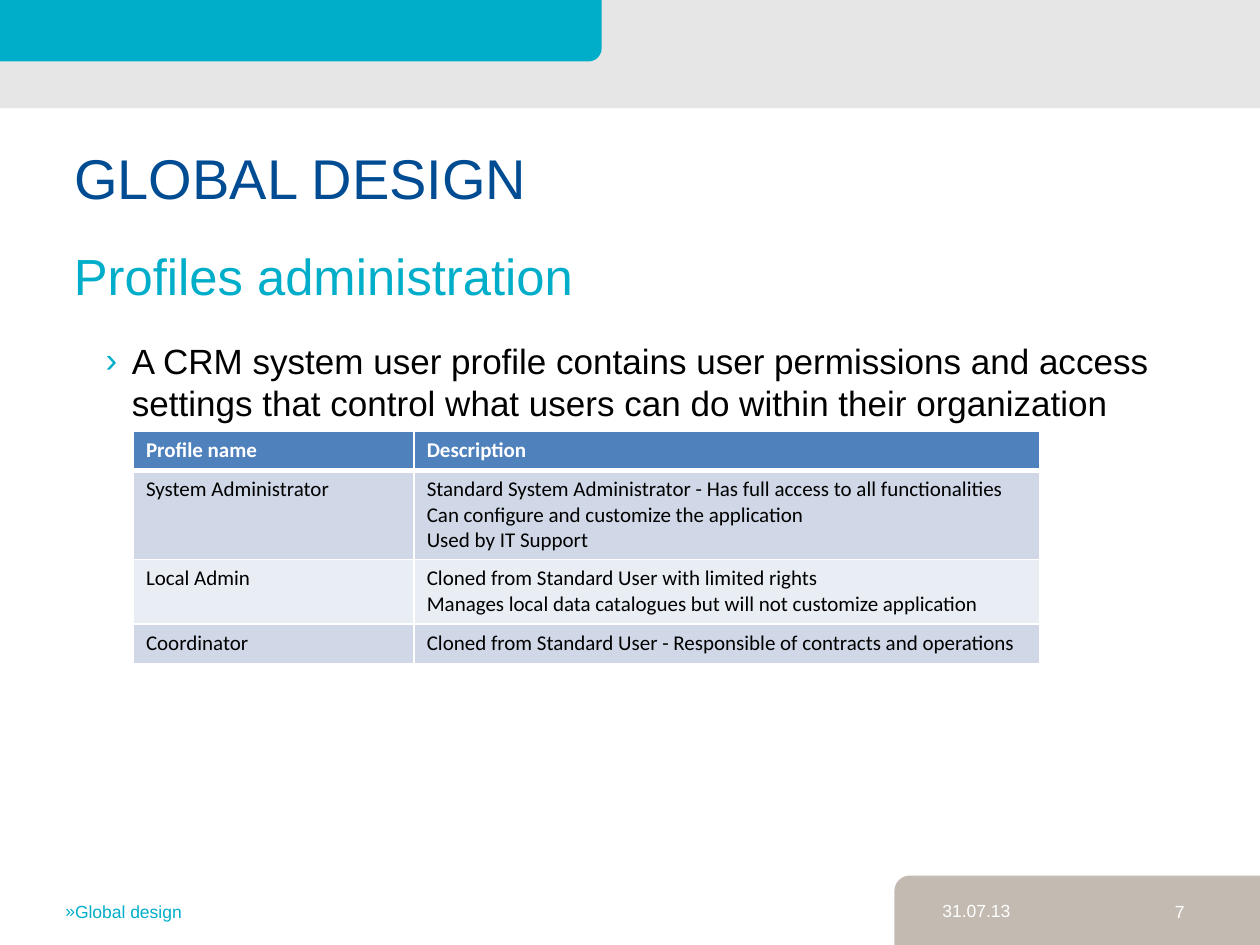
"""Build the profiles administration slide."""
from dataclasses import dataclass

from lxml import etree
from pptx import Presentation
from pptx.dml.color import RGBColor
from pptx.enum.shapes import MSO_SHAPE
from pptx.enum.text import MSO_ANCHOR, MSO_AUTO_SIZE, PP_ALIGN
from pptx.oxml.ns import qn
from pptx.util import Cm, Pt

CYAN = RGBColor(0x00, 0xAE, 0xCA)
NAVY = RGBColor(0x00, 0x4C, 0x93)
SAND = RGBColor(0xC3, 0xBB, 0xB2)
PALE_GREY = RGBColor(0xE6, 0xE6, 0xE6)
WHITE = RGBColor(0xFF, 0xFF, 0xFF)
BLACK = RGBColor(0x00, 0x00, 0x00)
HEADER_BLUE = RGBColor(0x4F, 0x81, 0xBD)
BAND_DARK = RGBColor(0xD0, 0xD8, 0xE8)
BAND_LIGHT = RGBColor(0xE9, 0xED, 0xF4)

Box = tuple[float, float, float, float]


@dataclass(frozen=True)
class Panel:
    kind: MSO_SHAPE
    box: Box
    color: RGBColor


@dataclass(frozen=True)
class Label:
    text: str
    box: Box
    size: int
    color: RGBColor
    align: PP_ALIGN = PP_ALIGN.LEFT
    bullet: str = ""
    margin: float = 0
    indent: float = 0
    space_before: int = 0


@dataclass(frozen=True)
class Row:
    height: float
    name: str
    description: tuple[str, ...]
    fill: RGBColor


PANELS = (
    Panel(MSO_SHAPE.ROUNDED_RECTANGLE, (18.03, 17.65, 8.05, 1.88), SAND),
    Panel(MSO_SHAPE.RECTANGLE, (0, 0, 25.4, 2.18), PALE_GREY),
    Panel(MSO_SHAPE.ROUNDED_RECTANGLE, (-0.79, -0.36, 12.92, 1.6), CYAN),
)
TITLE = Label("GLOBAL DESIGN", (1.24, 2.77, 22.86, 2.11), 32, NAVY)
LABELS = (
    Label("A CRM system user profile contains user permissions and access "
          "settings that control what users can do within their organization",
          (1.27, 6.71, 22.86, 10.08), 20, BLACK, bullet="›",
          margin=1.14, indent=-0.53, space_before=10),
    Label("Profiles administration", (1.24, 4.8, 22.89, 1.9), 29, CYAN, space_before=6),
    Label("Global design", (1.07, 18.03, 5.97, 1.02), 10, CYAN, bullet="»", indent=-0.46),
    Label("31.07.13", (18.75, 18.01, 4.27, 1.02), 10, WHITE),
    Label("7", (22.63, 18.03, 1.5, 1.02), 10, WHITE, PP_ALIGN.RIGHT),
)
COLUMNS = (5.66, 12.6)
ROWS = (
    Row(0.79, "Profile name", ("Description",), HEADER_BLUE),
    Row(1.8, "System Administrator",
        ("Standard System Administrator - Has full access to all functionalities",
         "Can configure and customize the application",
         "Used by IT Support"), BAND_DARK),
    Row(1.3, "Local Admin",
        ("Cloned from Standard User with limited rights",
         "Manages local data catalogues but will not customize application"), BAND_LIGHT),
    Row(0.79, "Coordinator",
        ("Cloned from Standard User - Responsible of contracts and operations",), BAND_DARK),
)


def add_panel(slide, panel: Panel) -> None:
    """Draw one plain filled panel."""
    shape = slide.shapes.add_shape(panel.kind, *map(Cm, panel.box))
    shape.shadow.inherit = False
    shape.fill.solid()
    shape.fill.fore_color.rgb = panel.color
    shape.line.fill.background()


def style_font(font, name: str, size: int, color: RGBColor, bold: bool = False) -> None:
    """Set the typeface, size, colour and weight."""
    font.name, font.size, font.bold = name, Pt(size), bold
    font.color.rgb = color


def write_label(shape, label: Label) -> None:
    """Place a text shape and fill it with one formatted paragraph."""
    shape.left, shape.top, shape.width, shape.height = map(Cm, label.box)
    frame = shape.text_frame
    frame.word_wrap = True
    frame.auto_size = MSO_AUTO_SIZE.NONE
    frame.vertical_anchor = MSO_ANCHOR.TOP
    paragraph = frame.paragraphs[0]
    paragraph.alignment = label.align
    paragraph.space_before = Pt(label.space_before)
    run = paragraph.add_run()
    run.text = label.text
    style_font(run.font, "Arial", label.size, label.color)
    if label.bullet:
        props = paragraph._p.get_or_add_pPr()
        props.set("marL", str(Cm(label.margin)))
        props.set("indent", str(Cm(label.indent)))
        color = etree.SubElement(props, qn("a:buClr"))
        etree.SubElement(color, qn("a:srgbClr"), val=str(CYAN))
        etree.SubElement(props, qn("a:buFont"), typeface="Arial")
        etree.SubElement(props, qn("a:buChar"), char=label.bullet)


def add_border(cell, side: str, width: int) -> None:
    """Give one side of a cell a white border."""
    line = etree.SubElement(cell._tc.get_or_add_tcPr(), qn(f"a:{side}"), w=str(Pt(width)))
    fill = etree.SubElement(line, qn("a:solidFill"))
    etree.SubElement(fill, qn("a:srgbClr"), val=str(WHITE))


def fill_cell(cell, lines: tuple[str, ...], fill: RGBColor, below_header: bool) -> None:
    """Write and format one table cell."""
    header = fill == HEADER_BLUE
    widths = {"lnL": 1, "lnR": 1, "lnT": 3 if below_header else 1, "lnB": 3 if header else 1}
    for side, width in widths.items():
        add_border(cell, side, width)
    cell.fill.solid()
    cell.fill.fore_color.rgb = fill
    cell.text = "\n".join(lines)
    for paragraph in cell.text_frame.paragraphs:
        for run in paragraph.runs:
            style_font(run.font, "Calibri", 12, WHITE if header else BLACK, header)


def add_profiles_table(slide) -> None:
    """Add the table of profiles."""
    size = Cm(sum(COLUMNS)), Cm(sum(row.height for row in ROWS))
    table = slide.shapes.add_table(len(ROWS), len(COLUMNS), Cm(2.69), Cm(8.69), *size).table
    for column, width in zip(table.columns, COLUMNS):
        column.width = Cm(width)
    for index, row in enumerate(ROWS):
        table.rows[index].height = Cm(row.height)
        for column, lines in enumerate(((row.name,), row.description)):
            fill_cell(table.cell(index, column), lines, row.fill, index == 1)


def main() -> None:
    """Build and save the slide."""
    deck = Presentation()
    deck.slide_width, deck.slide_height = Cm(25.4), Cm(19.05)
    slide = deck.slides.add_slide(deck.slide_layouts[5])
    for panel in PANELS:
        add_panel(slide, panel)
    write_label(slide.shapes.title, TITLE)
    for label in LABELS:
        write_label(slide.shapes.add_textbox(*map(Cm, label.box)), label)
    add_profiles_table(slide)
    deck.save("out.pptx")


main()
